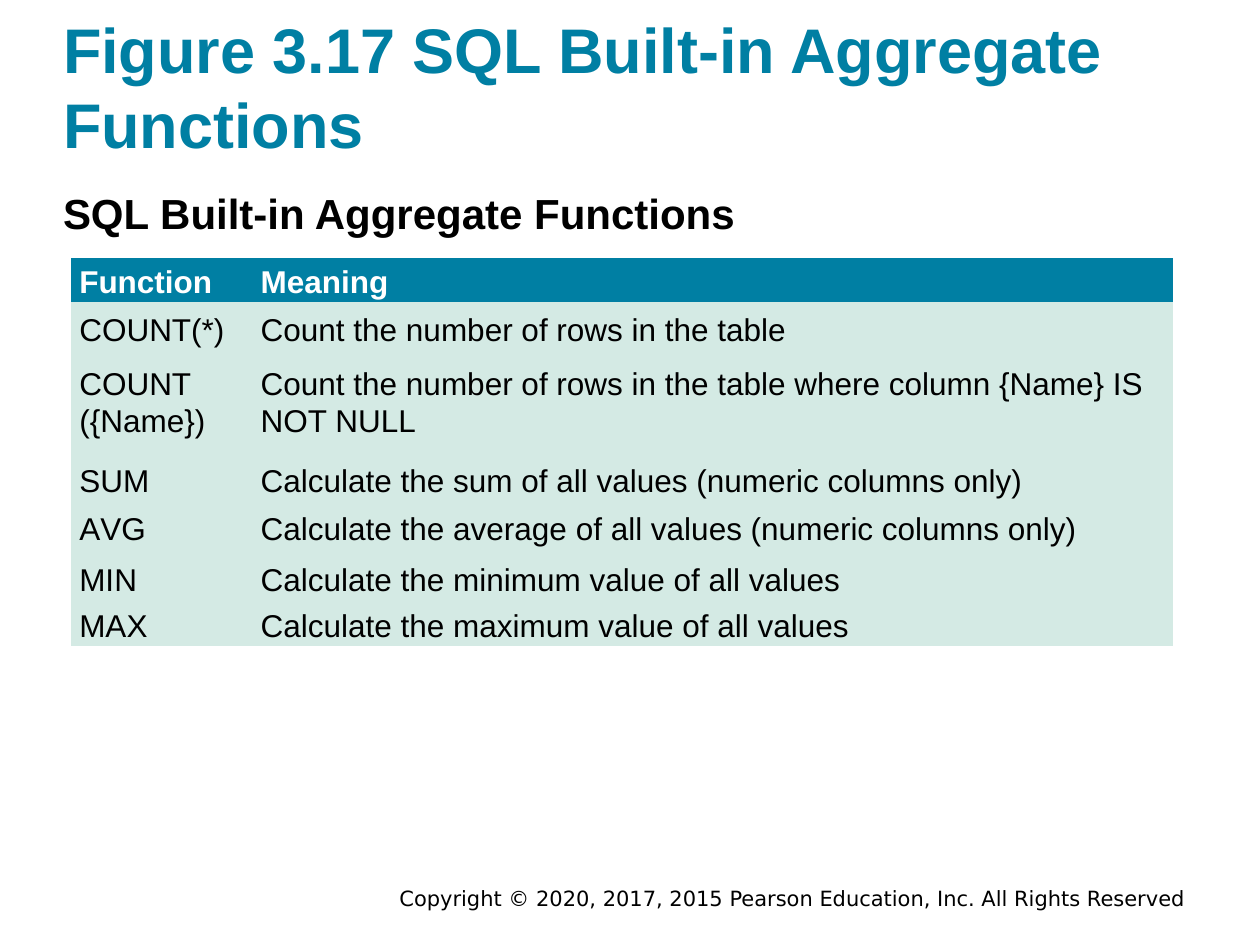
import dataclasses

import pptx
import pptx.dml.color
import pptx.enum.text
import pptx.oxml
import pptx.util

Inches = pptx.util.Inches
Pt = pptx.util.Pt
Color = pptx.dml.color.RGBColor
Align = pptx.enum.text.PP_ALIGN
Anchor = pptx.enum.text.MSO_ANCHOR
AutoSize = pptx.enum.text.MSO_AUTO_SIZE


@dataclasses.dataclass(frozen=True)
class Theme:
    accent: Color = Color.from_string("007FA3")
    row_fill: Color = Color.from_string("D4EAE4")
    dark: Color = Color.from_string("000000")
    light: Color = Color.from_string("FFFFFF")
    font: str = "Arial"
    footer_font: str = "DejaVu Sans"
    title_size: int = 36
    subtitle_size: int = 24
    table_size: int = 18
    footer_size: int = 12


theme = Theme()


def add_run(paragraph, text, size, color, bold=False, font=theme.font):
    run = paragraph.add_run()
    run.text = text
    run.font.name = font
    run.font.size = Pt(size)
    run.font.bold = bold
    run.font.color.rgb = color
    return run


def place(shape, left, top, width, height):
    shape.left, shape.top = Inches(left), Inches(top)
    shape.width, shape.height = Inches(width), Inches(height)
    frame = shape.text_frame
    frame.word_wrap = True
    frame.auto_size = AutoSize.NONE
    frame.margin_left = frame.margin_right = 0
    frame.margin_top = frame.margin_bottom = 0
    return frame.paragraphs[0]


presentation = pptx.Presentation()
presentation.slide_width = Inches(10)
presentation.slide_height = Inches(7.5)
slide = presentation.slides.add_slide(presentation.slide_layouts[1])

# Title
title = slide.shapes.title
paragraph = place(title, 0.5, 0.08, 9, 1.2)
title.text_frame.vertical_anchor = Anchor.MIDDLE
paragraph.alignment = Align.LEFT
add_run(paragraph, "Figure 3.17 SQL Built-in Aggregate Functions",
        theme.title_size, theme.accent, bold=True)

# Table heading, without the template's bullet
paragraph = place(slide.placeholders[1], 0.5, 1.49, 9, 0.42)
properties = paragraph._p.get_or_add_pPr()
properties.set("marL", "0")
properties.set("indent", "0")
properties.append(pptx.oxml.parse_xml(
    '<a:buNone xmlns:a="http://schemas.openxmlformats.org/drawingml/2006/main"/>'))
paragraph.space_before = Pt(0)
add_run(paragraph, "SQL Built-in Aggregate Functions",
        theme.subtitle_size, theme.dark, bold=True)

# Function table: row height, line spacing, function, meaning
rows = [
    (0.35, 1.15, "Function", "Meaning"),
    (0.41, 1.15, "COUNT(*)", "Count the number of rows in the table"),
    (0.77, 1.04, "COUNT ({Name})",
     "Count the number of rows in the table where column {Name} IS NOT NULL"),
    (0.38, 1.36, "SUM", "Calculate the sum of all values (numeric columns only)"),
    (0.38, 1.36, "AVG", "Calculate the average of all values (numeric columns only)"),
    (0.44, 1.36, "MIN", "Calculate the minimum value of all values"),
    (0.35, 1.15, "MAX", "Calculate the maximum value of all values"),
]
column_widths = [1.44, 7.31]
table = slide.shapes.add_table(
    len(rows), len(column_widths), Inches(0.56), Inches(2.05),
    Inches(sum(column_widths)), Inches(sum(row[0] for row in rows))).table
table.horz_banding = False
# "No Style, No Grid" keeps the cells free of borders
table._tbl.tblPr.find(pptx.oxml.ns.qn("a:tableStyleId")).text = (
    "{2D5ABB26-0587-4C30-8999-92F81FD0307C}")
for column, width in zip(table.columns, column_widths):
    column.width = Inches(width)

for row_index, (height, spacing, *texts) in enumerate(rows):
    table.rows[row_index].height = Inches(height)
    header = row_index == 0
    for column_index, text in enumerate(texts):
        cell = table.cell(row_index, column_index)
        cell.fill.solid()
        cell.fill.fore_color.rgb = theme.accent if header else theme.row_fill
        cell.vertical_anchor = Anchor.MIDDLE
        cell.margin_left = cell.margin_right = Inches(0.07)
        cell.margin_top = cell.margin_bottom = 0
        paragraph = cell.text_frame.paragraphs[0]
        paragraph.line_spacing = spacing
        # The A of AVG is kerned towards the V
        for part in (("A", "VG") if text == "AVG" else (text,)):
            run = add_run(paragraph, part, theme.table_size,
                          theme.light if header else theme.dark, bold=header)
            if part == "A":
                run._r.get_or_add_rPr().set("spc", "-110")

# Copyright line
footer = slide.shapes.add_textbox(
    Inches(1.68), Inches(6.98), Inches(7.83), Inches(0.3))
footer.text_frame.word_wrap = True
footer.text_frame.auto_size = AutoSize.SHAPE_TO_FIT_TEXT
paragraph = footer.text_frame.paragraphs[0]
paragraph.alignment = Align.RIGHT
add_run(paragraph,
        "Copyright © 2020, 2017, 2015 Pearson Education, Inc. All Rights Reserved",
        theme.footer_size, theme.dark, font=theme.footer_font)

presentation.save("out.pptx")
